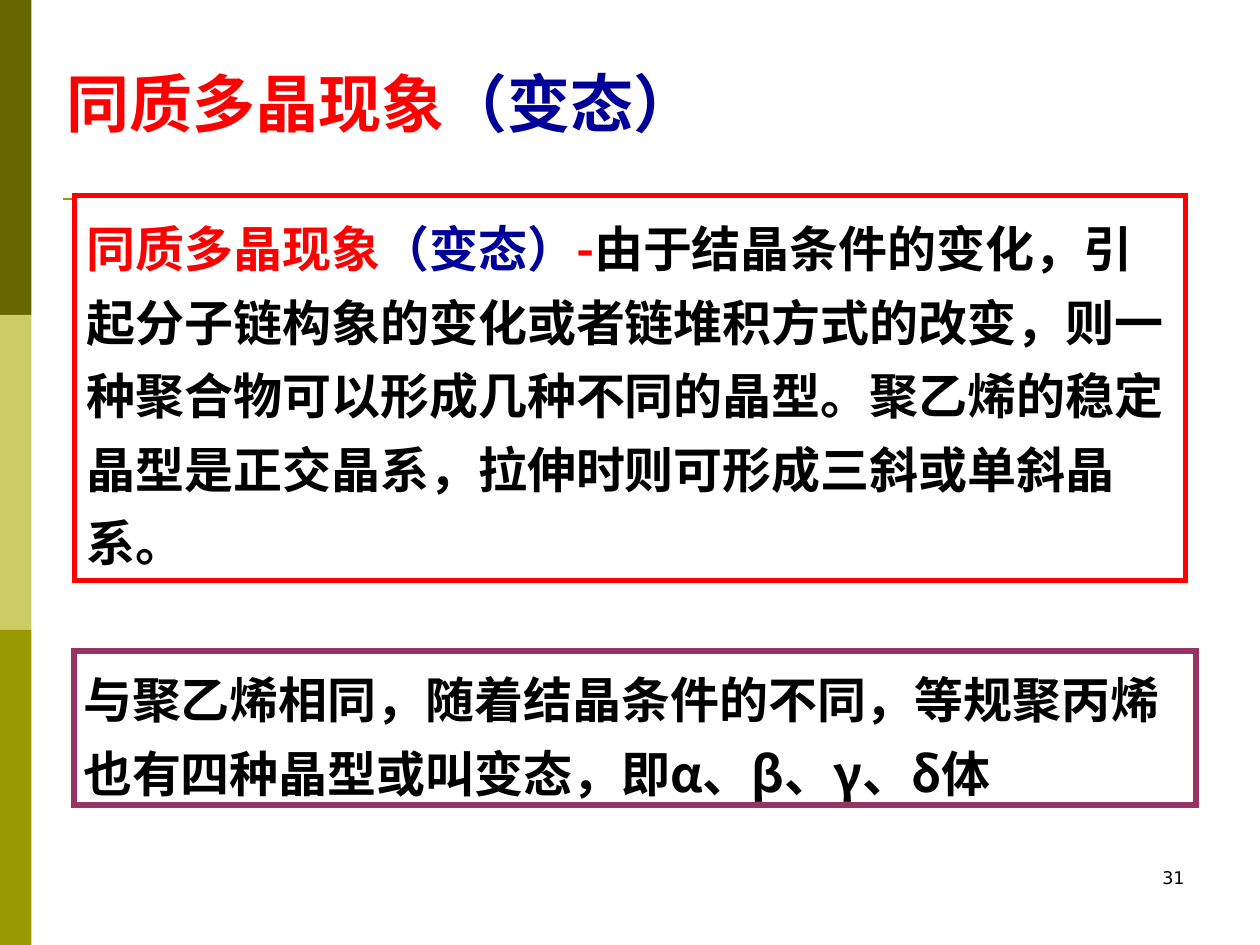
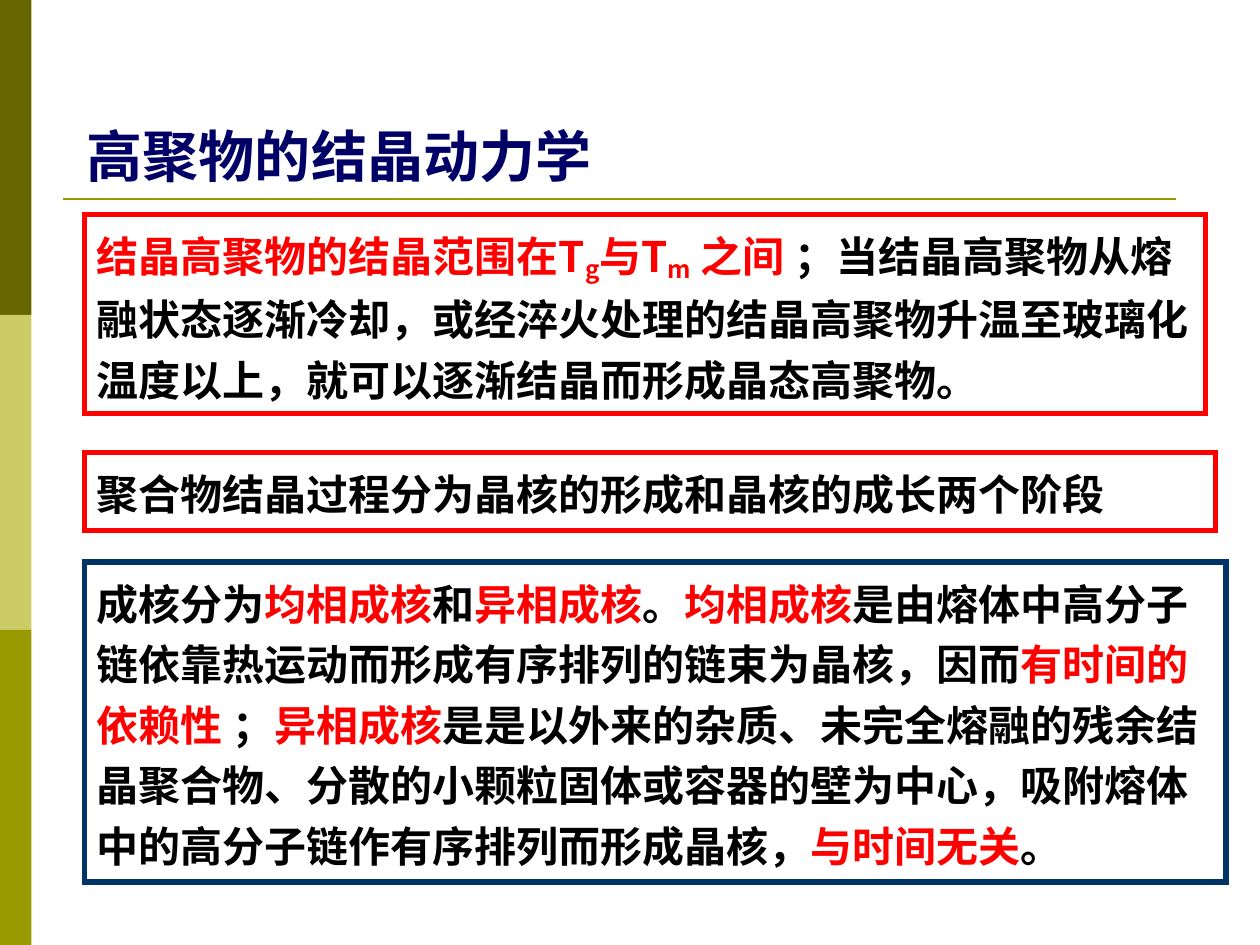
"""Build two lecture slides on polymer crystal forms and crystallization kinetics."""
from dataclasses import dataclass

from lxml import etree
from pptx import Presentation
from pptx.dml.color import RGBColor
from pptx.enum.shapes import MSO_CONNECTOR, MSO_SHAPE
from pptx.enum.text import MSO_ANCHOR, MSO_AUTO_SIZE, PP_ALIGN
from pptx.oxml.ns import qn
from pptx.util import Inches, Pt

RECTANGLE, STRAIGHT = MSO_SHAPE.RECTANGLE, MSO_CONNECTOR.STRAIGHT
TOP, MIDDLE, BOTTOM = MSO_ANCHOR.TOP, MSO_ANCHOR.MIDDLE, MSO_ANCHOR.BOTTOM
LEFT, RIGHT = PP_ALIGN.LEFT, PP_ALIGN.RIGHT
NO_AUTOFIT = MSO_AUTO_SIZE.NONE
TITLE_ONLY = 5


@dataclass(frozen=True)
class Theme:
    """Colours, fonts and type sizes shared by the slides."""
    bands: tuple = ("666600", "CCCC66", "999900")
    rule: str = "999900"
    black: str = "000000"
    white: str = "FFFFFF"
    red: str = "FF0000"
    blue: str = "000099"
    navy: str = "000066"
    steel: str = "003366"
    plum: str = "993366"
    font: str = "Noto Sans CJK SC"
    number_font: str = "DejaVu Sans"
    number_size: int = 10
    subscript: str = "-14000"


THEME = Theme()
BLACK, RED, BLUE = THEME.black, THEME.red, THEME.blue
INSETS = (0.1, 0.05, 0.1, 0.05)

POLYMORPHISM = [("同质多晶现象", RED), ("（变态）", BLUE)]

SLIDES = [
    {
        "number": "31",
        "title": {"spans": POLYMORPHISM, "at": (0.43, 0.46, 8.03, 0.7), "size": 36},
        "style": {"size": 28, "spacing": 1.25, "anchor": MIDDLE},
        "boxes": [
            {"at": (0.59, 5.17, 8.9, 1.22), "line": THEME.plum, "weight": 3.5,
             "fill": None, "insets": (0.07, 0, 0, 0),
             "spans": [("与聚乙烯相同，随着结晶条件的不同，等规聚丙烯也有四种晶型"
                        "或叫变态，即α、β、γ、δ体", BLACK)]},
            {"at": (0.59, 1.55, 8.82, 3.06), "line": RED,
             "spans": POLYMORPHISM + [
                 ("-", RED),
                 ("由于结晶条件的变化，引起分子链构象的变化或者链堆积方式的改变，"
                  "则一种聚合物可以形成几种不同的晶型。聚乙烯的稳定晶型是正交晶系，"
                  "拉伸时则可形成三斜或单斜晶系。", BLACK)]},
        ],
    },
    {
        "number": "91",
        "title": {"spans": [("高聚物的结晶动力学", THEME.navy)],
                  "at": (0.59, 0.84, 8.03, 0.71), "size": 32},
        "style": {"size": 24, "spacing": 1.2, "anchor": TOP},
        "boxes": [
            {"at": (0.67, 1.7, 8.9, 1.58), "line": RED,
             "spans": [("结晶高聚物的结晶范围在T", RED), ("g", RED, True),
                       ("与T", RED), ("m", RED, True), (" 之间", RED),
                       (" ；当结晶高聚物从熔融状态逐渐冷却，或经淬火处理的结晶高聚物"
                        "升温至玻璃化温度以上，就可以逐渐结晶而形成晶态高聚物。", BLACK)]},
            {"at": (0.67, 3.59, 8.98, 0.62), "line": RED,
             "spans": [("聚合物结晶过程分为晶核的形成和晶核的成长两个阶段", BLACK)]},
            {"at": (0.67, 4.46, 9.06, 2.54), "line": THEME.steel,
             "spans": [("成核分为", BLACK), ("均相成核", RED), ("和", BLACK),
                       ("异相成核", RED), ("。", BLACK), ("均相成核", RED),
                       ("是由熔体中高分子链依靠热运动而形成有序排列的链束为晶核，因而", BLACK),
                       ("有时间的依赖性", RED), (" ；", BLACK), ("异相成核", RED),
                       ("是是以外来的杂质、未完全熔融的残余结晶聚合物、分散的小颗粒固体"
                        "或容器的壁为中心，吸附熔体中的高分子链作有序排列而形成晶核，", BLACK),
                       ("与时间无关", RED), ("。", BLACK)]},
        ],
    },
]


def colour(code):
    return RGBColor.from_string(code)


def lengths(values):
    return [Inches(value) for value in values]


def write(shape, spans, size, font=THEME.font, bold=True, align=LEFT,
          anchor=TOP, spacing=1.0, insets=INSETS):
    frame = shape.text_frame
    frame.word_wrap = True
    frame.auto_size = NO_AUTOFIT
    frame.vertical_anchor = anchor
    (frame.margin_left, frame.margin_top,
     frame.margin_right, frame.margin_bottom) = lengths(insets)
    para = frame.paragraphs[0]
    para.alignment = align
    para.line_spacing = spacing
    para._p.get_or_add_pPr().set("hangingPunct", "0")
    for text, ink, *lowered in spans:
        span = para.add_run()
        span.text = text
        span.font.size = Pt(size)
        span.font.bold = bold
        span.font.name = font
        span.font.color.rgb = colour(ink)
        properties = span.font._element
        etree.SubElement(properties, qn("a:ea")).set("typeface", font)
        if lowered:
            properties.set("baseline", THEME.subscript)


def add_rectangle(page, at, fill=None, line=None, weight=3):
    box = page.shapes.add_shape(RECTANGLE, *lengths(at))
    box.shadow.inherit = False
    if fill:
        box.fill.solid()
        box.fill.fore_color.rgb = colour(fill)
    else:
        box.fill.background()
    if line:
        box.line.color.rgb = colour(line)
        box.line.width = Pt(weight)
        outline = box._element.spPr.find(qn("a:ln"))
        etree.SubElement(outline, qn("a:miter")).set("lim", "800000")
    else:
        box.line.fill.background()
    return box


def add_frame(page, number):
    band_height = 7.5 / len(THEME.bands)
    for index, fill in enumerate(THEME.bands):
        add_rectangle(page, (0, index * band_height, 0.25, band_height), fill)
    rule = page.shapes.add_connector(STRAIGHT, *lengths((0.5, 1.58, 9.33, 1.58)))
    rule.line.color.rgb = colour(THEME.rule)
    rule.line.width = Pt(1.5)
    etree.SubElement(rule._element.spPr, qn("a:effectLst"))
    label = page.shapes.add_textbox(*lengths((7.17, 6.83, 2.33, 0.5)))
    write(label, [(number, BLACK)], THEME.number_size, THEME.number_font,
          bold=False, align=RIGHT)


def add_title(page, spans, at, size):
    title = page.shapes.title
    title.left, title.top, title.width, title.height = lengths(at)
    write(title, spans, size, anchor=BOTTOM)


def add_box(page, style, at, line, spans, insets=INSETS, fill=THEME.white, weight=3):
    box = add_rectangle(page, at, fill, line, weight)
    write(box, spans, insets=insets, **style)


def main():
    deck = Presentation()
    deck.slide_width, deck.slide_height = lengths((10, 7.5))
    for content in SLIDES:
        page = deck.slides.add_slide(deck.slide_layouts[TITLE_ONLY])
        add_frame(page, content["number"])
        add_title(page, **content["title"])
        for box in content["boxes"]:
            add_box(page, content["style"], **box)
    deck.save("out.pptx")


if __name__ == "__main__":
    main()
